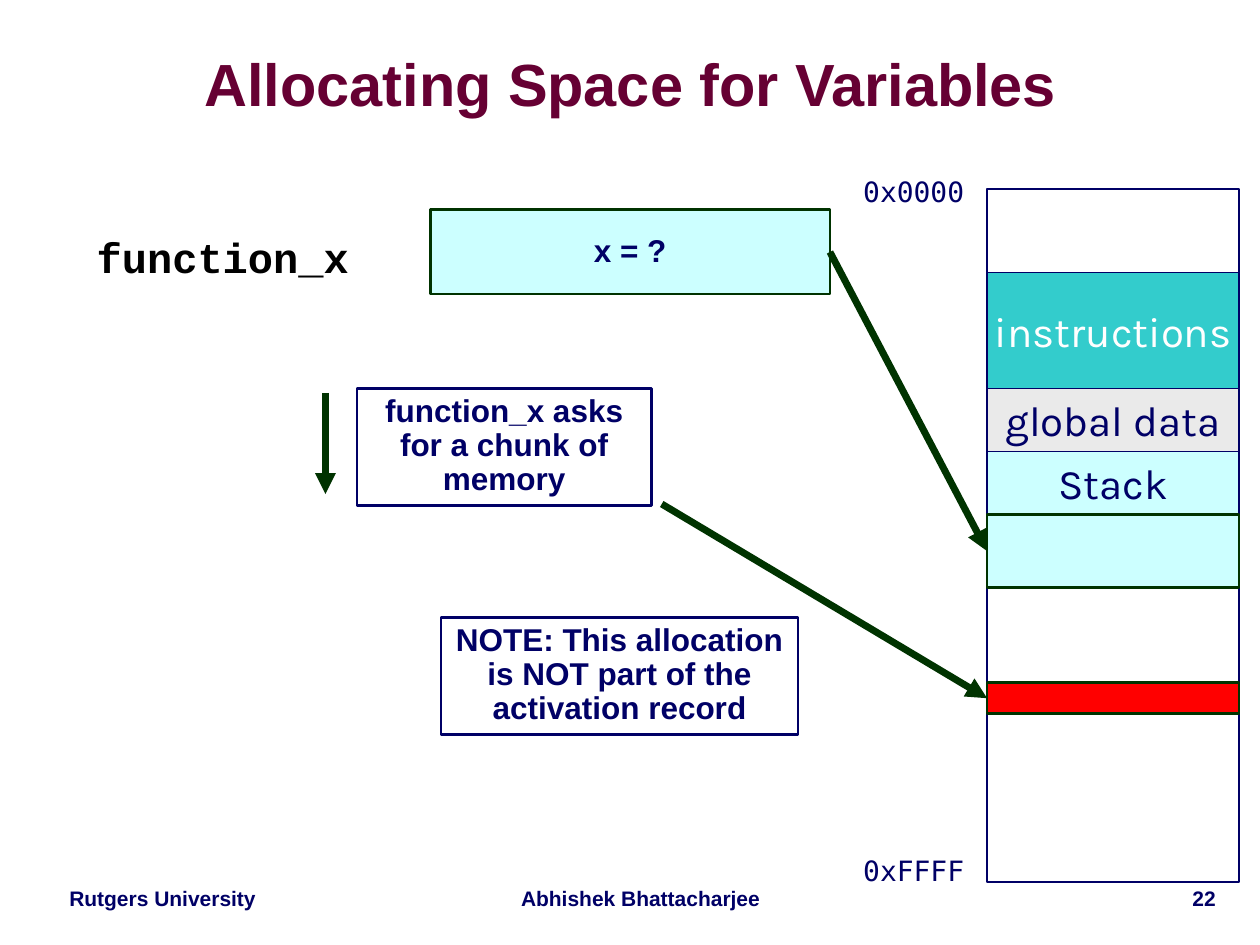
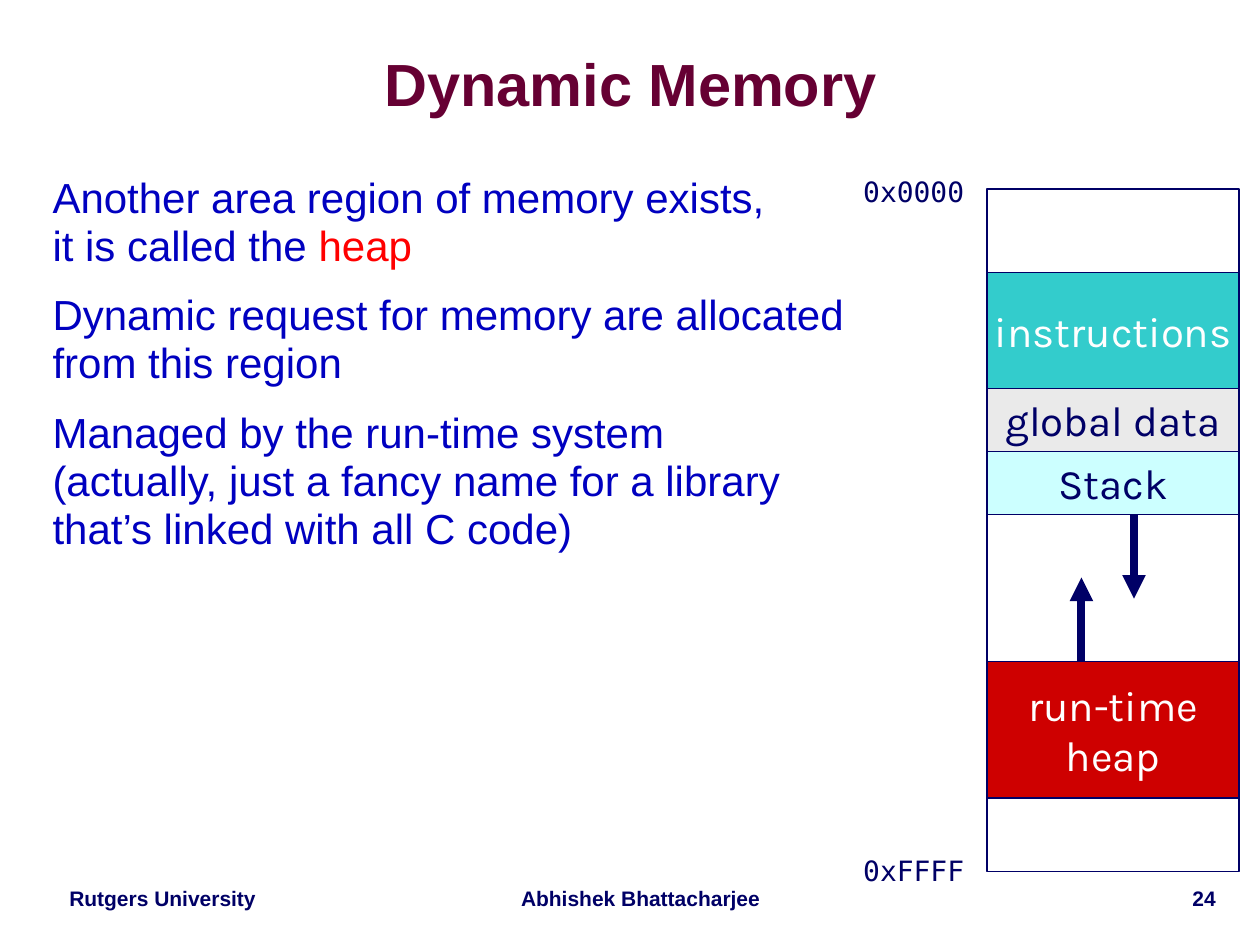
from lxml import etree
from pptx import Presentation
from pptx.dml.color import RGBColor
from pptx.enum import shapes, text
from pptx.oxml import ns
from pptx.util import Cm, Pt

NAVY = RGBColor(0x00, 0x00, 0x66)
MAROON = RGBColor(0x66, 0x00, 0x33)
BLUE = RGBColor(0x00, 0x00, 0xC0)
GREEN = RGBColor(0x00, 0x33, 0x00)
TEAL = RGBColor(0x33, 0xCC, 0xCC)
PALE_CYAN = RGBColor(0xCC, 0xFF, 0xFF)
GREY = RGBColor(0xEA, 0xEA, 0xEA)
RED = RGBColor(0xFF, 0x00, 0x00)
DARK_RED = RGBColor(0xCE, 0x00, 0x00)
WHITE = RGBColor(0xFF, 0xFF, 0xFF)
BLACK = RGBColor(0x00, 0x00, 0x00)

SANS, MAP_FONT = "Arial", "Karla"
CODE, ADDRESS = "Courier New", "DejaVu Sans Mono"
CENTER, LEFT, RIGHT = text.PP_ALIGN.CENTER, text.PP_ALIGN.LEFT, text.PP_ALIGN.RIGHT
TOP, MIDDLE = text.MSO_ANCHOR.TOP, text.MSO_ANCHOR.MIDDLE

MAP_LEFT, MAP_WIDTH = 19.9, 5.08
MAP_TOP, CODE_TOP, DATA_TOP, STACK_TOP, STACK_END = 3.81, 5.5, 7.83, 9.1, 10.37
TOP_SIDE, LEFT_SIDE, BOTTOM_SIDE, RIGHT_SIDE = 0, 1, 2, 3


def write(frame, paragraphs, size=18, font=SANS, color=NAVY, bold=False,
          align=CENTER, anchor=TOP, wrap=True, spacing=1.0, before=0,
          margins=(0.25, 0.13)):
    """Fill a frame; a paragraph is a string or a list of (text, color) pieces."""
    frame.word_wrap = wrap
    frame.vertical_anchor = anchor
    frame.margin_left = frame.margin_right = Cm(margins[0])
    frame.margin_top = frame.margin_bottom = Cm(margins[1])
    for index, pieces in enumerate(paragraphs):
        paragraph = frame.add_paragraph() if index else frame.paragraphs[0]
        paragraph.alignment = align
        paragraph.line_spacing = spacing
        paragraph.space_before = Pt(before if index else 0)
        if isinstance(pieces, str):
            pieces = [(pieces, color)]
        for words, piece_color in pieces:
            for number, line in enumerate(words.split("\n")):
                if number:
                    paragraph.add_line_break()
                run = paragraph.add_run()
                run.text = line
                run.font.name = font
                run.font.size = Pt(size)
                run.font.bold = bold
                run.font.color.rgb = piece_color


class Deck:
    """The presentation, its shared style and the slide being built."""

    def __init__(self):
        self.show = Presentation()
        self.show.slide_width, self.show.slide_height = Cm(25.4), Cm(19.05)
        self.slide = None

    def new_slide(self, title, number):
        self.slide = self.show.slides.add_slide(self.show.slide_layouts[6])
        footers = [(0.84, 4.88, "Rutgers University", CENTER),
                   (10.16, 5.51, "Abhishek Bhattacharjee", CENTER),
                   (20.75, 4.01, str(number), RIGHT)]
        for left, width, words, align in footers:
            self.label(left, 17.78, width, 0.71, [words], size=12, bold=True,
                       align=align, spacing=0.9)
        self.label(0.79, 0.69, 23.85, 2.16, [title], size=34, color=MAROON,
                   bold=True, anchor=MIDDLE, spacing=0.87, margins=(0, 0))

    def label(self, left, top, width, height, paragraphs, **style):
        box = self.slide.shapes.add_textbox(Cm(left), Cm(top), Cm(width), Cm(height))
        write(box.text_frame, paragraphs, **style)

    def rect(self, left, top, width, height, fill=None, line=NAVY, weight=1.5,
             paragraphs=(), **style):
        shape = self.slide.shapes.add_shape(
            shapes.MSO_SHAPE.RECTANGLE, Cm(left), Cm(top), Cm(width), Cm(height))
        shape.shadow.inherit = False
        if fill is None:
            shape.fill.background()
        else:
            shape.fill.solid()
            shape.fill.fore_color.rgb = fill
        shape.line.color.rgb = line
        shape.line.width = Pt(weight)
        write(shape.text_frame, paragraphs, **style)
        return shape

    def region(self, top, bottom, fill=WHITE, names=(), color=NAVY, **outline):
        """One band of the memory map, between two heights."""
        return self.rect(MAP_LEFT, top, MAP_WIDTH, bottom - top, fill,
                         **{"weight": 0.75, **outline}, paragraphs=names,
                         size=24, font=MAP_FONT, color=color, anchor=MIDDLE, wrap=False)

    def note(self, left, top, width, words):
        self.rect(left, top, width, 2.36, paragraphs=[words], bold=True,
                  spacing=0.9, margins=(0.13, 0.13))

    def arrow(self, start, end, color=GREEN, weight=4):
        """Each end is an (x, y) point or a (shape, side) pair to join."""
        joined = [not isinstance(place[0], (int, float)) for place in (start, end)]
        (x1, y1), (x2, y2) = [(0, 0) if join else place
                              for join, place in zip(joined, (start, end))]
        line = self.slide.shapes.add_connector(
            shapes.MSO_CONNECTOR.STRAIGHT, Cm(x1), Cm(y1), Cm(x2), Cm(y2))
        if joined[0]:
            line.begin_connect(*start)
        if joined[1]:
            line.end_connect(*end)
        line.line.color.rgb = color
        line.line.width = Pt(weight)
        etree.SubElement(line.line._get_or_add_ln(), ns.qn("a:tailEnd"), type="triangle")
        etree.SubElement(line._element.spPr, ns.qn("a:effectLst"))

    def memory_map(self, free_end):
        """The regions both slides share, and the addresses at either end."""
        self.region(MAP_TOP, CODE_TOP)
        self.region(CODE_TOP, DATA_TOP, TEAL, ["instructions"], WHITE)
        self.region(DATA_TOP, STACK_TOP, GREY, ["global data"])
        self.region(STACK_TOP, free_end)
        self.region(STACK_TOP, STACK_END, PALE_CYAN, ["Stack"])
        for top, address in ((3.38, "0x0000"), (17.07, "0xFFFF")):
            self.label(17.15, top, 2.54, 0.94, [address], size=16, font=ADDRESS, wrap=False)


def allocating_space(deck):
    deck.new_slide("Allocating Space for Variables", 22)
    deck.memory_map(free_end=17.78)
    deck.label(1.8, 4.65, 5.38, 1.19, ["function_x"], size=24, font=CODE, color=BLACK,
               bold=True, wrap=False, spacing=0.9, margins=(0.13, 0.13))
    variable = deck.rect(8.68, 4.23, 8.05, 1.7, PALE_CYAN, GREEN, paragraphs=["x = ?"],
                         bold=True, anchor=MIDDLE, spacing=0.9)
    record = deck.region(STACK_END, 11.85, PALE_CYAN, line=GREEN, weight=1.5)
    chunk = deck.region(13.76, 14.39, RED, line=GREEN, weight=1.5)
    deck.arrow((variable, RIGHT_SIDE), (record, LEFT_SIDE))
    deck.arrow((6.56, 7.92), (6.56, 9.96))
    deck.arrow((13.34, 10.16), (chunk, LEFT_SIDE))
    deck.note(7.2, 7.83, 5.93, "function_x asks for a chunk of memory")
    deck.note(8.89, 12.45, 7.2, "NOTE: This allocation is NOT part of the activation record")


def dynamic_memory(deck):
    heap_top, heap_end = 13.34, 16.09
    deck.new_slide("Dynamic Memory", 24)
    deck.label(0.81, 3.4, 23.95, 13.97, [
        [("Another area region of memory exists,\nit is called the ", BLUE), ("heap", RED)],
        "Dynamic request for memory are allocated\nfrom this region",
        "Managed by the run-time system\n(actually, just a fancy name for a library\n"
        "that’s linked with all C code)",
    ], size=24, color=BLUE, align=LEFT, spacing=0.95, before=12.5)
    deck.memory_map(free_end=heap_top)
    deck.region(heap_top, heap_end, DARK_RED, ["run-time", "heap"], WHITE)
    deck.region(heap_end, 17.57)
    growth = 1.7
    deck.arrow((21.8, heap_top), (21.8, heap_top - growth), NAVY, 4.5)
    deck.arrow((22.86, STACK_END), (22.86, STACK_END + growth), NAVY, 4.5)


def main():
    deck = Deck()
    allocating_space(deck)
    dynamic_memory(deck)
    deck.show.save("out.pptx")


if __name__ == "__main__":
    main()
